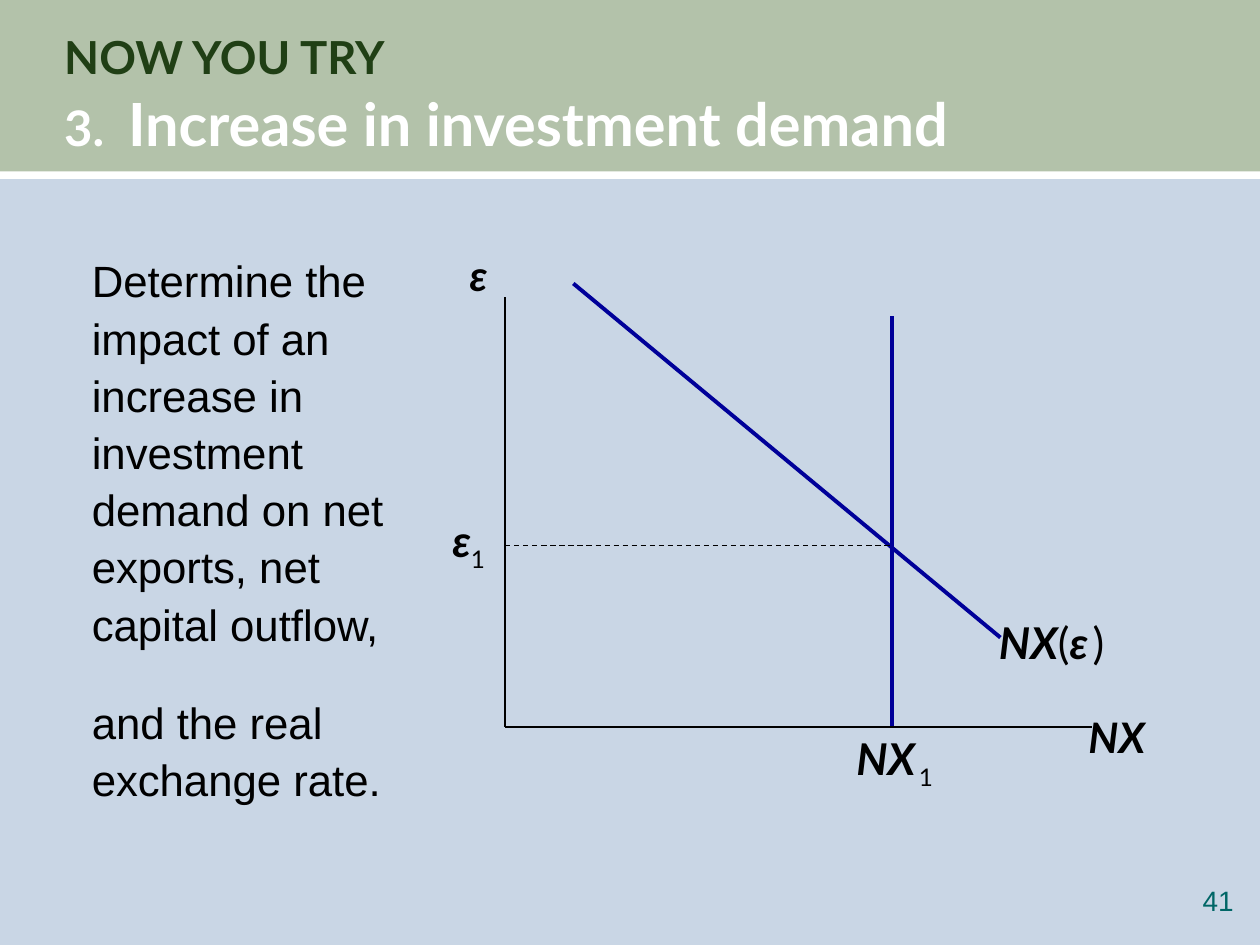
"""Build a slide on how rising investment demand affects net exports."""
from lxml.etree import SubElement
from pptx import Presentation
from pptx.dml.color import RGBColor
from pptx.enum.dml import MSO_LINE as Dash
from pptx.enum.shapes import MSO_CONNECTOR as Connector, MSO_SHAPE as Shape
from pptx.enum.text import MSO_ANCHOR as Anchor, PP_ALIGN as Align
from pptx.oxml.ns import qn
from pptx.util import Inches, Pt


def color(hex_code):
    return RGBColor.from_string(hex_code)


def add_text(box, runs, face="Lato", ink="000000", insets=(0.1, 0.05, 0.1, 0.05),
             align=Align.LEFT, spacing=1.0, anchor=Anchor.TOP):
    frame = slide.shapes.add_textbox(*map(Inches, box)).text_frame
    frame.word_wrap = True
    frame.vertical_anchor = anchor
    frame.margin_left, frame.margin_top, frame.margin_right, frame.margin_bottom = map(Inches, insets)
    paragraph = frame.paragraphs[0]
    paragraph.alignment = align
    paragraph.line_spacing = spacing
    paragraph.font.name = face
    paragraph.font.color.rgb = color(ink)
    for words, size, style, *extra in runs:
        if words == "\n":
            paragraph.add_line_break()
            continue
        run = paragraph.add_run()
        run.text = words
        run.font.name = face
        run.font.size = Pt(size)
        run.font.bold = "b" in style
        run.font.italic = "i" in style
        run.font.color.rgb = color(extra[0] if extra else ink)
        if "_" in style:
            run.font._element.set("baseline", "-25000")


prs = Presentation()
prs.slide_width, prs.slide_height = Inches(10), Inches(7.5)
slide = prs.slides.add_slide(prs.slide_layouts[6])
slide.background.fill.solid()
slide.background.fill.fore_color.rgb = color("C9D6E5")

for top, height, fill in [(-0.01, 1.41, "B3C2AA"), (1.36, 0.06, "FFFFFF")]:
    band = slide.shapes.add_shape(Shape.RECTANGLE, 0, Inches(top), prs.slide_width, Inches(height))
    band.shadow.inherit = False
    band.fill.solid()
    band.fill.fore_color.rgb = color(fill)
    band.line.fill.background()

add_text((0.51, 0.22, 9.02, 1.03),
         [("NOW YOU TRY", 26, "b", "203F15"), ("\n", 26, "b"),
          ("3.  ", 28, "b"), ("Increase in investment demand", 34, "b")],
         ink="FFFFFF", insets=(0, 0, 0, 0), spacing=1.05, anchor=Anchor.MIDDLE)
add_text((9.24, 7.01, 0.55, 0.32), [("41", 16, "")], "Arial", "006666",
         insets=(0, 0, 0, 0), align=Align.RIGHT)

origin_x, origin_y = 4.01, 5.77
curves = [
    (4.55, 2.25, 7.94, 5.06, "000099", 2.25, None),
    (origin_x, 4.33, 7.07, 4.33, "000000", 0.75, Dash.DASH),
    (7.08, 2.51, 7.08, origin_y, "000099", 2.25, None),
    (origin_x, 2.36, origin_x, origin_y, "000000", 1, None),
    (origin_x, origin_y, 8.67, origin_y, "000000", 1, None),
]
for *ends, ink, width, dash in curves:
    curve = slide.shapes.add_connector(Connector.STRAIGHT, *map(Inches, ends))
    curve.line.color.rgb = color(ink)
    curve.line.width = Pt(width)
    if dash:
        curve.line.dash_style = dash
    SubElement(curve._element.spPr, qn("a:effectLst"))

add_text((7.83, 4.84, 1.35, 0.52),
         [("NX", 25, "bi"), ("(", 25, ""), ("ε", 25, "bi"), (" ", 12, "bi"), (")", 25, "")],
         insets=(0.1, 0.05, 0, 0.05))
add_text((3.47, 4.08, 0.5, 0.47), [("ε", 25, "bi"), ("1", 24, "_")],
         insets=(0, 0, 0, 0.05), align=Align.CENTER)
add_text((6.64, 5.81, 0.92, 0.47), [("NX", 25, "bi"), (" ", 8, ""), ("1", 24, "_")],
         insets=(0, 0, 0, 0.05), align=Align.CENTER)
for left, top, axis in [(3.63, 1.93, "ε"), (8.54, 5.6, "NX")]:
    add_text((left, top, 0.76, 0.5), [(axis, 24, "bi")])

task = "Determine the impact of an increase in investment demand on net exports, net capital outflow, "
add_text((0.63, 1.93, 2.52, 4.52),
         [(task, 25, ""), ("\n", 25, ""), ("and the real exchange rate.", 25, "")],
         "Arial", spacing=1.09)

prs.save("out.pptx")
